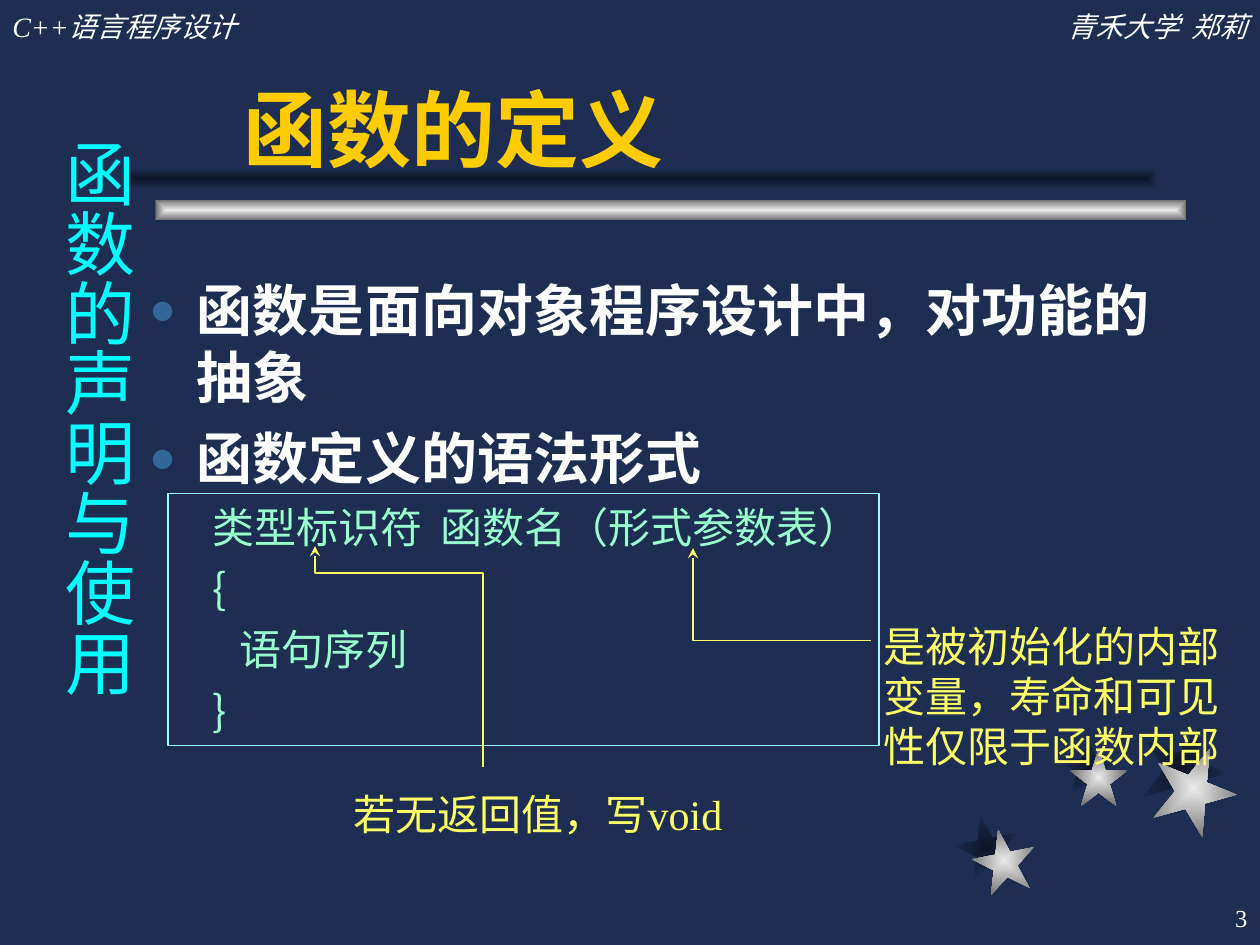
from lxml.etree import SubElement as Sub
from pptx import Presentation as Deck
from pptx.dml.color import RGBColor as Rgb
from pptx.enum.shapes import MSO_SHAPE as Kind
from pptx.enum.text import MSO_ANCHOR as Anchor, MSO_AUTO_SIZE as Auto, PP_ALIGN as Align
from pptx.oxml.ns import qn
from pptx.util import Inches, Pt

COLS, ROWS = 120, 90
WIDE, HIGH = Inches(10), Inches(7.5)
HUE = {
    "night": "1E2E53", "shade": "0E1526", "light": "EAEAEA", "steel": "6C6C6C",
    "white": "FFFFFF", "gold": "FFCC00", "cyan": "00FFFF", "dot": "336699",
    "mint": "99FFCC", "frame": "99FFFF", "note": "FFFF66",
}
SANS, SERIF, HEAD = "Noto Sans CJK SC", "Times New Roman", "Arial"


def rgb(name):
    return Rgb.from_string(HUE[name])


def span(col, row, cols, rows):
    return [int(n) for n in (WIDE * col / COLS, HIGH * row / ROWS,
                             WIDE * cols / COLS, HIGH * rows / ROWS)]


def place(shape, area):
    shape.left, shape.top, shape.width, shape.height = span(*area)


def write(para, words, size, hue, font=SERIF, bold=False, slant=False):
    para.line_spacing = Pt(size * 1.2)
    for word in words:
        run = para.add_run()
        run.text = word
        face = run.font
        face.name, face.size = font, Pt(size)
        face.bold, face.italic = bold, slant
        face.color.rgb = rgb(hue)
        props = run._r.get_or_add_rPr()
        Sub(props, qn("a:ea"), typeface=SANS)
        if word == " ":
            props.set("spc", str(size * 22))


def setup(frame, size, wrap=True, anchor=Anchor.TOP):
    frame.auto_size = Auto.NONE
    frame.word_wrap = wrap
    frame.vertical_anchor = anchor
    frame.margin_left = frame.margin_right = Inches(0.1)
    frame.margin_top = Inches(0.05 + size * 0.0016)
    frame.margin_bottom = 0


def label(slide, area, words, size, hue, side=Align.LEFT, wrap=True, slant=False):
    frame = slide.shapes.add_textbox(*span(*area)).text_frame
    setup(frame, size, wrap)
    para = frame.paragraphs[0]
    para.alignment = side
    write(para, words, size, hue, slant=slant)
    return frame


def blend(slide, kind, area, inner, outer, turn=0):
    shape = slide.shapes.add_shape(kind, *span(*area))
    shape.rotation = turn
    shape.shadow.inherit = False
    shape.line.fill.background()
    shape.fill.gradient()
    for stop, hue in zip(shape.fill.gradient_stops, (inner, outer)):
        stop.color.rgb = rgb(hue)
    grad = shape._element.spPr.find(qn("a:gradFill"))
    grad.remove(grad.find(qn("a:lin")))
    focus = Sub(Sub(grad, qn("a:path"), path="rect"), qn("a:fillToRect"))
    for edge in "ltrb":
        focus.set(edge, "50000")


def stroke(shape, hue):
    shape.shadow.inherit = False
    shape.fill.background()
    shape.line.color.rgb = rgb(hue)
    shape.line.width = Pt(1)


def arrow(slide, *points):
    spots = [tuple(span(col, row, 0, 0)[:2]) for col, row in points]
    pen = slide.shapes.build_freeform(*spots[0])
    pen.add_line_segments(spots[1:], close=False)
    shape = pen.convert_to_shape()
    stroke(shape, "note")
    Sub(shape.line._get_or_add_ln(), qn("a:headEnd"), type="stealth")


def decor(slide):
    dark, shine = ("shade", "night"), ("light", "steel")
    stars = [
        (6, 349, (90.96, 77.64), (92.64, 78.96)),
        (5.52, 0, (100.92, 70.2), (101.88, 71.28)),
        (8.04, 22, (108.72, 69), (109.68, 71.04)),
    ]
    for layer, tones in enumerate((dark, shine)):
        for size, turn, *spots in stars:
            blend(slide, Kind.STAR_5_POINT, (*spots[layer], size, size), *tones, turn)
    for col, row, tones in ((14.8, 19, shine), (12, 16, dark)):
        blend(slide, Kind.RECTANGLE, (col, row, 98.2, 2), *tones)


def title(slide):
    shape = slide.shapes.title
    place(shape, (22, 3, 89, 14))
    setup(shape.text_frame, 48, anchor=Anchor.BOTTOM)
    para = shape.text_frame.paragraphs[0]
    para.alignment = Align.LEFT
    write(para, ["函数的定义"], 48, "gold", HEAD, bold=True)


def indent(para, left, hang):
    props = para._p.get_or_add_pPr()
    props.set("marL", str(Inches(left)))
    props.set("indent", str(-Inches(hang)))
    return props


def point(para, text):
    para.space_before = Pt(8)
    write(para, [text], 32, "white", SANS, bold=True)
    props = indent(para, 0.38, 0.38)
    Sub(Sub(props, qn("a:buClr")), qn("a:srgbClr"), val=HUE["dot"])
    Sub(props, qn("a:buSzPct"), val="80000")
    Sub(props, qn("a:buChar"), char="●")


def code(para, words, shift=0):
    para.level = 1
    para.space_before = Pt(6)
    write(para, words, 24, "mint", SANS)
    Sub(indent(para, 0.81 + shift, 0.31), qn("a:buNone"))


def body(slide):
    shape = slide.placeholders[1]
    place(shape, (13, 25, 101, 56))
    frame = shape.text_frame
    setup(frame, 32)
    point(frame.paragraphs[0], "函数是面向对象程序设计中，对功能的抽象")
    point(frame.add_paragraph(), "函数定义的语法形式")
    code(frame.add_paragraph(), ["类型标识符", " ", "函数名（形式参数表）"])
    code(frame.add_paragraph(), ["{"])
    code(frame.add_paragraph(), ["语句序列"], 0.22)
    code(frame.add_paragraph(), ["}"])


def side(slide):
    frame = label(slide, (3.6, 12, 10.3, 65), ["函数的声明与使用"], 40, "cyan", Align.CENTER)
    frame.margin_left = frame.margin_right = Inches(0.05)
    frame.margin_top = frame.margin_bottom = Inches(0.1)
    frame._txBody.bodyPr.set("vert", "eaVert")


def main():
    deck = Deck()
    deck.slide_width, deck.slide_height = WIDE, HIGH
    slide = deck.slides.add_slide(deck.slide_layouts[1])
    back = slide.background.fill
    back.solid()
    back.fore_color.rgb = rgb("night")

    decor(slide)
    label(slide, (0, 0, 37, 4.4), ["C++语言程序设计"], 16, "white", slant=True)
    label(slide, (83, 0, 37, 4.4), ["青禾大学", " ", "郑莉"], 16, "white", Align.RIGHT, slant=True)
    page = label(slide, (95, 84, 25, 6), ["3"], 14, "white", Align.RIGHT)
    page.vertical_anchor = Anchor.MIDDLE
    title(slide)
    body(slide)
    side(slide)

    stroke(slide.shapes.add_shape(Kind.RECTANGLE, *span(16, 47, 67.7, 24)), "frame")
    arrow(slide, (66, 52.2), (66, 61), (83, 61))
    label(slide, (83, 58, 36, 15.6), ["是被初始化的内部变量，寿命和可见性仅限于函数内部"], 24, "note")
    label(slide, (32.5, 74, 38.5, 6), ["若无返回值，写void"], 24, "note", wrap=False)
    arrow(slide, (30, 52), (30, 54.6), (46, 54.6), (46, 73))
    deck.save("out.pptx")


if __name__ == "__main__":
    main()
